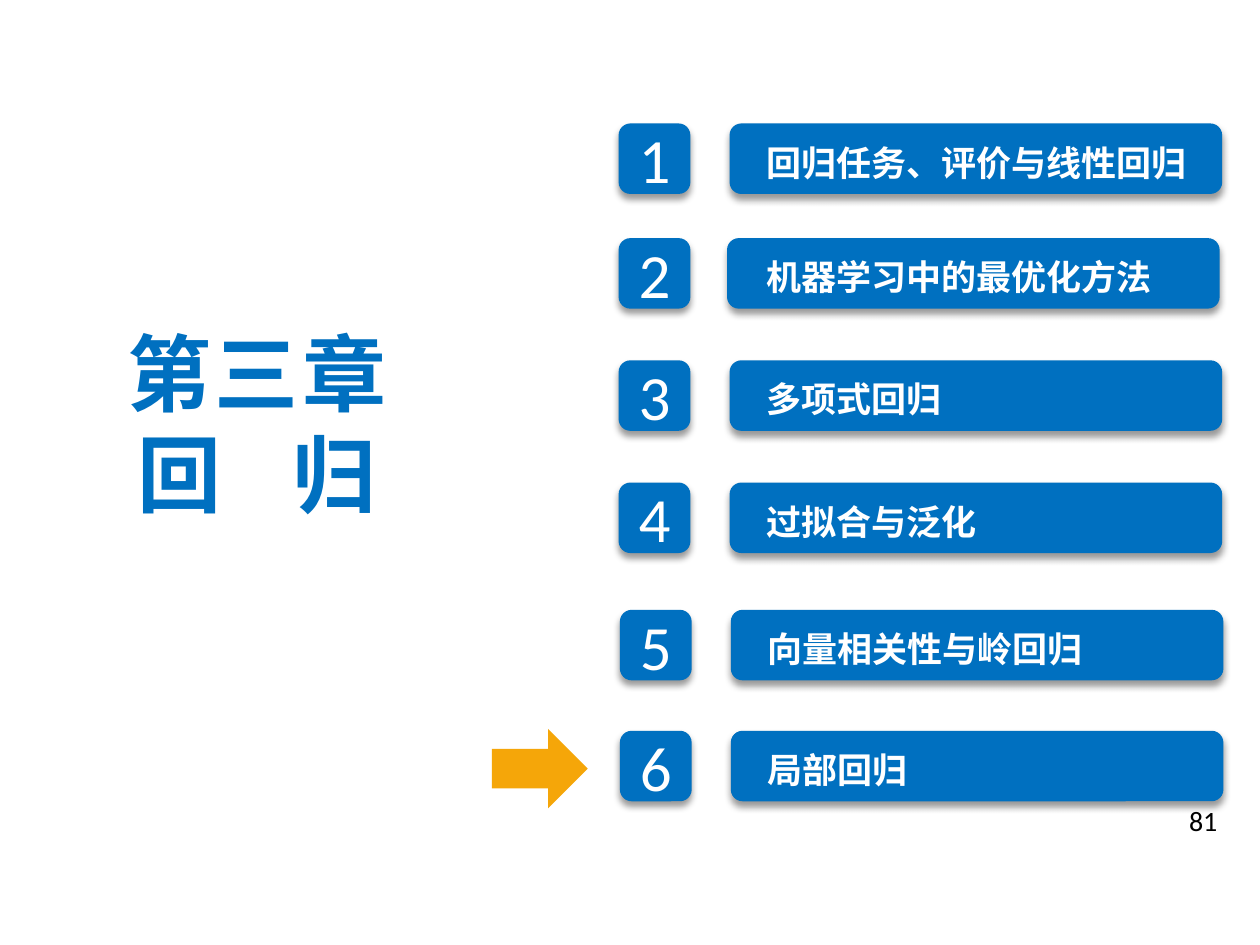
from dataclasses import dataclass
from lxml.etree import SubElement
from pptx import Presentation
from pptx.dml.color import RGBColor
from pptx.enum.shapes import MSO_SHAPE
from pptx.enum.text import MSO_ANCHOR, PP_ALIGN
from pptx.oxml.ns import qn
from pptx.slide import Slide
from pptx.util import Inches, Pt


def colour(value):
    return RGBColor.from_string(value)


@dataclass
class ChapterPage:
    page: Slide
    blue: str = "0070C0"
    white: str = "FFFFFF"
    amber: str = "F5A609"
    black: str = "000000"
    latin: str = "Calibri"
    chinese: str = "Noto Sans CJK SC"

    def shape(self, owner, kind, area, fill):
        shape = owner.add_shape(kind, *map(Inches, area))
        shape.shadow.inherit = False
        shape.fill.solid()
        shape.fill.fore_color.rgb = colour(fill)
        shape.line.fill.background()
        return shape

    def tile(self, owner, area):
        tile = self.shape(owner, MSO_SHAPE.ROUNDED_RECTANGLE, area, self.blue)
        effects = tile._element.spPr.find(qn("a:effectLst"))
        shadow = SubElement(effects, qn("a:outerShdw"), blurRad=str(Pt(4)),
                            dist=str(Pt(3)), dir="5400000", rotWithShape="0")
        tint = SubElement(shadow, qn("a:srgbClr"), val=self.black)
        SubElement(tint, qn("a:alpha"), val="40000")
        return tile

    def margins(self, frame, top=0.07, bottom=0.07):
        frame.margin_left = frame.margin_right = Inches(0.13)
        frame.margin_top, frame.margin_bottom = Inches(top), Inches(bottom)

    def style(self, para, name, size, fill, align, bold=False, spacing=0):
        para.alignment = align
        font = para.font
        font.size, font.bold, font.name = Pt(size), bold, name
        font.color.rgb = colour(fill)
        SubElement(font._element, qn("a:ea"), typeface=name)
        if spacing:
            font._element.set("spc", str(spacing * 100))

    def chinese_para(self, para, size, fill, align, spacing=0):
        para.line_spacing = Pt(size * 1.2)
        self.style(para, self.chinese, size, fill, align, True, spacing)

    def text_box(self, owner, area):
        box = owner.add_textbox(*map(Inches, area))
        box.text_frame.word_wrap = True
        return box.text_frame

    def badge(self, left, top, number):
        frame = self.tile(self.page.shapes, (left, top, 0.57, 0.56)).text_frame
        self.margins(frame)
        frame.vertical_anchor = MSO_ANCHOR.MIDDLE
        para = frame.paragraphs[0]
        para.text = str(number)
        self.style(para, self.latin, 36, self.white, PP_ALIGN.CENTER)

    def section(self, bar_left, label_left, top, text):
        group = self.page.shapes.add_group_shape().shapes
        self.tile(group, (bar_left, top, 3.91, 0.56))
        frame = self.text_box(group, (label_left, top + 0.04, 3.65, 0.47))
        self.margins(frame, 0.1, 0.04)
        para = frame.paragraphs[0]
        para.text = text
        self.chinese_para(para, 20, self.white, PP_ALIGN.LEFT)

    def title(self, area, chapter, first, last):
        frame = self.text_box(self.page.shapes, area)
        self.margins(frame, 0.12, 0.02)
        heading, subject = frame.paragraphs[0], frame.add_paragraph()
        heading.text = chapter
        for part in (first, " ", last):
            span = subject.add_run()
            span.text = part
            if part == " ":
                span.font._element.set("spc", "2800")
        for para in (heading, subject):
            self.chinese_para(para, 48, self.blue, PP_ALIGN.CENTER, 2)

    def arrow(self, area):
        arrow = self.shape(self.page.shapes, MSO_SHAPE.DOWN_ARROW, area, self.amber)
        arrow.rotation = 270

    def page_number(self, area, number):
        para = self.text_box(self.page.shapes, area).paragraphs[0]
        para.text = str(number)
        self.style(para, self.latin, 16, self.black, PP_ALIGN.RIGHT)


SECTIONS = [
    (0.98, 0, 0, "回归任务、评价与线性回归"),
    (1.89, 0, -0.02, "机器学习中的最优化方法"),
    (2.86, 0, 0, "多项式回归"),
    (3.83, 0, 0, "过拟合与泛化"),
    (4.84, 0.01, 0, "向量相关性与岭回归"),
    (5.8, 0.01, 0, "局部回归"),
]


def main():
    deck = Presentation()
    deck.slide_width, deck.slide_height = Inches(10), Inches(7.5)
    chapter = ChapterPage(deck.slides.add_slide(deck.slide_layouts[6]))
    for number, (top, shift, bar_shift, text) in enumerate(SECTIONS, 1):
        chapter.badge(4.91 + shift, top, number)
        chapter.section(5.79 + shift + bar_shift, 5.95 + shift, top, text)
    chapter.title((0, 2.43, 4.08, 1.75), "第三章", "回", "归")
    chapter.arrow((3.97, 5.72, 0.63, 0.76))
    chapter.page_number((7.43, 6.33, 2.33, 0.3), 81)
    deck.save("out.pptx")


if __name__ == "__main__":
    main()
